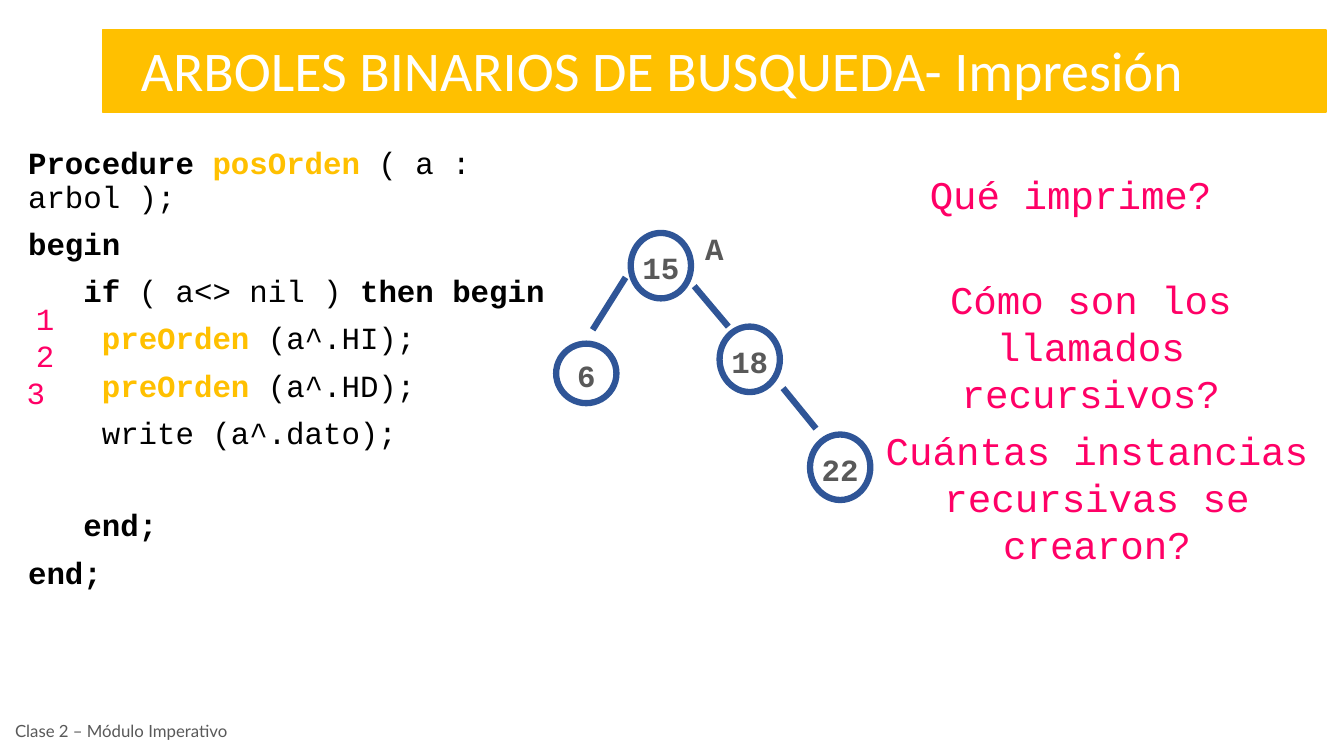
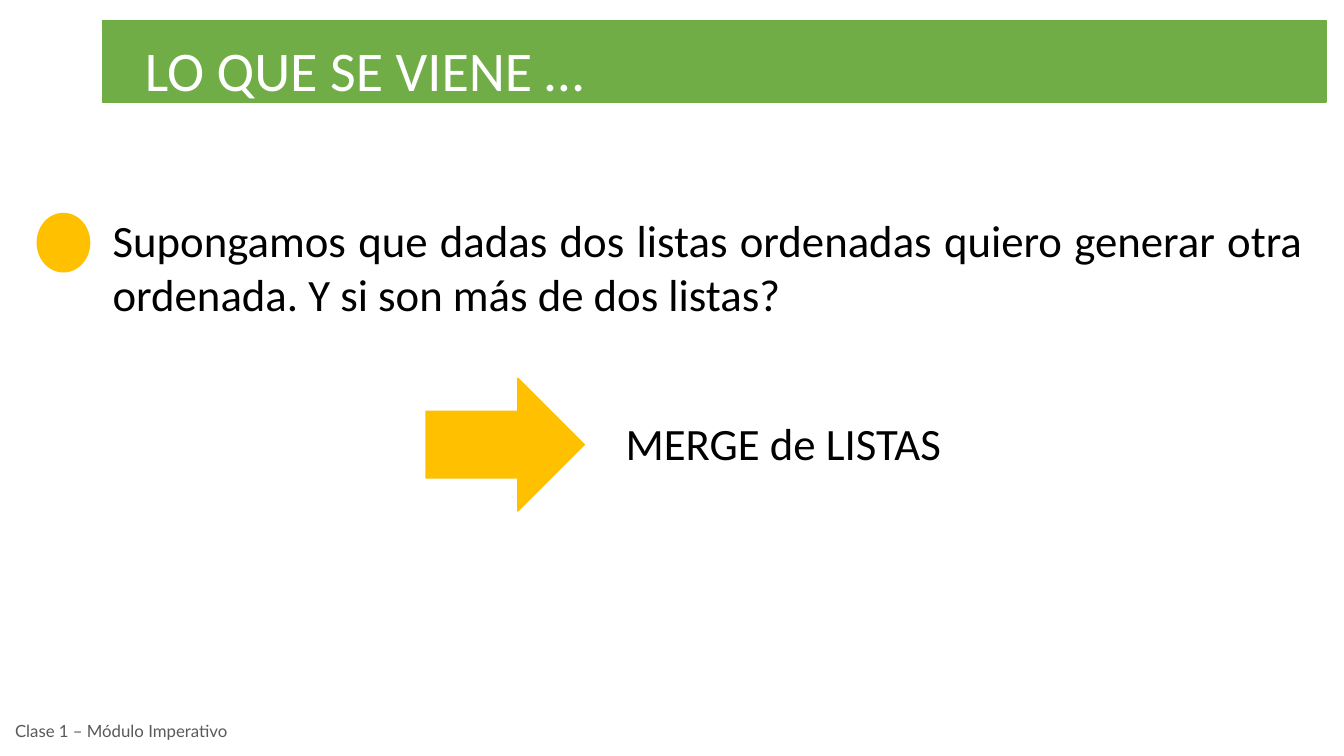
from dataclasses import dataclass

from lxml import etree
from pptx import Presentation
from pptx.dml.color import RGBColor
from pptx.enum.shapes import MSO_CONNECTOR, MSO_SHAPE
from pptx.enum.text import MSO_ANCHOR, PP_ALIGN
from pptx.oxml.ns import qn
from pptx.util import Cm, Pt

LEFT, CENTER, JUSTIFY = PP_ALIGN.LEFT, PP_ALIGN.CENTER, PP_ALIGN.JUSTIFY
TOP, MIDDLE = MSO_ANCHOR.TOP, MSO_ANCHOR.MIDDLE
RECTANGLE, OVAL, ARROW = MSO_SHAPE.RECTANGLE, MSO_SHAPE.OVAL, MSO_SHAPE.RIGHT_ARROW
STRAIGHT = MSO_CONNECTOR.STRAIGHT
BLANK_LAYOUT = 6


@dataclass(frozen=True)
class Theme:
    gold: str = "FFC000"
    green: str = "70AD47"
    blue: str = "2F5597"
    pink: str = "FF0066"
    grey: str = "595959"
    black: str = "000000"
    white: str = "FFFFFF"
    sans: str = "Calibri"
    mono: str = "Courier New"
    small: str = "Lato"
    title_size: int = 40
    body_size: int = 32
    question_size: int = 28
    code_size: int = 22
    footer_size: int = 12
    thin: float = 1
    thick: float = 4.5


THEME = Theme()
PLAIN = {}
KEYWORD = {"bold": True}
NAME = {"bold": True, "color": THEME.gold}


def write(frame, text, *, font=THEME.sans, size=THEME.body_size, color=THEME.black,
          bold=False, align=LEFT, anchor=TOP, wrap=True, spacing=None, gaps=()):
    """Fill a frame; text is a string or a list of paragraphs.

    A paragraph is a string or a list of (text, style) spans; gaps holds the
    space before each paragraph after the first.
    """
    frame.word_wrap = wrap
    frame.vertical_anchor = anchor
    paragraphs = [text] if isinstance(text, str) else text
    for index, spans in enumerate(paragraphs):
        para = frame.add_paragraph() if index else frame.paragraphs[0]
        para.alignment = align
        if spacing:
            para.line_spacing = spacing
        if index and gaps:
            para.space_before = Pt(gaps[index - 1])
        for words, style in [(spans, PLAIN)] if isinstance(spans, str) else spans:
            span = para.add_run()
            span.text = words
            span.font.name = font
            span.font.size = Pt(size)
            span.font.bold = style.get("bold", bold)
            span.font.color.rgb = RGBColor.from_string(style.get("color", color))


class Deck:
    def __init__(self, theme):
        self.theme = theme
        self.file = Presentation()
        self.file.slide_width, self.file.slide_height = Cm(33.88), Cm(19.05)
        self.slide = None

    def new_slide(self, title, footer, color, band_top, title_left, title_width):
        theme = self.theme
        self.slide = self.file.slides.add_slide(self.file.slide_layouts[BLANK_LAYOUT])
        self.text(footer, 0.13, 17.91, 6.1, 1.02, font=theme.small,
                  size=theme.footer_size, color=theme.grey, anchor=MIDDLE)
        self.shape(RECTANGLE, 2.59, band_top, 30.84, 2.06, color)
        self.text(title, title_left, 0.76, title_width, 1.96,
                  size=theme.title_size, color=theme.white, wrap=False)

    def text(self, text, left, top, width, height, **style):
        box = self.slide.shapes.add_textbox(Cm(left), Cm(top), Cm(width), Cm(height))
        write(box.text_frame, text, **style)

    def shape(self, kind, left, top, width, height, color):
        shape = self.slide.shapes.add_shape(kind, Cm(left), Cm(top), Cm(width), Cm(height))
        shape.shadow.inherit = False
        shape.fill.solid()
        shape.fill.fore_color.rgb = RGBColor.from_string(color)
        self.outline(shape, color, self.theme.thin)
        return shape

    def outline(self, item, color, weight):
        item.line.color.rgb = RGBColor.from_string(color)
        item.line.width = Pt(weight)

    def question(self, text, left, top, width, height):
        self.text(text, left, top, width, height, font=self.theme.mono,
                  size=self.theme.question_size, color=self.theme.pink, align=CENTER)

    def code(self, text, left, top, width, height, **style):
        self.text(text, left, top, width, height, font=self.theme.mono,
                  size=self.theme.code_size, **style)

    def node(self, value, left, top, height=1.65):
        """Draw one tree node with its value inside."""
        theme = self.theme
        node = self.shape(OVAL, left, top, 1.52, height, theme.white)
        node.fill.background()
        self.outline(node, theme.blue, theme.thick)
        frame = node.text_frame
        frame.margin_left = frame.margin_right = frame.margin_bottom = 0
        frame.margin_top = Cm(0.1)
        write(frame, value, font=theme.mono, size=theme.code_size, color=theme.grey,
              bold=True, align=CENTER, anchor=MIDDLE, wrap=False)

    def branch(self, start_x, start_y, end_x, end_y):
        line = self.slide.shapes.add_connector(
            STRAIGHT, Cm(start_x), Cm(start_y), Cm(end_x), Cm(end_y))
        self.outline(line, self.theme.blue, self.theme.thick)
        etree.SubElement(line._element.spPr, qn("a:effectLst"))


def build_printing(deck):
    theme = deck.theme
    deck.new_slide("ARBOLES BINARIOS DE BUSQUEDA- Impresión",
                   "Clase 2 – Módulo Imperativo", theme.gold, 0.76, 3.3, 27.15)

    procedure = [
        [("Procedure ", KEYWORD), ("posOrden", NAME), (" ( a : arbol );", PLAIN)],
        [("begin", KEYWORD)],
        [("   ", PLAIN), ("if", KEYWORD), (" ( a<> nil ) ", PLAIN), ("then begin", KEYWORD)],
        [("    ", PLAIN), ("preOrden", NAME), (" (a^.HI);", PLAIN)],
        [("    ", PLAIN), ("preOrden", NAME), (" (a^.HD);", PLAIN)],
        "    write (a^.dato);",
        [("   ", PLAIN), ("end;", KEYWORD)],
        [("end;", KEYWORD)],
    ]
    deck.code(procedure, 0.46, 3.61, 14, 9.6, spacing=0.9,
              gaps=(10, 10, 10, 10, 10, 42.4, 10))
    deck.code(["1", "2", "3 "], 0.3, 7.44, 1.68, 3.05, color=theme.pink, align=CENTER)

    deck.node("15", 15.9, 5.87)
    deck.node("18", 18.14, 8.23)
    deck.node("22", 20.42, 10.95)
    deck.node("6", 14.02, 8.66, height=1.5)
    deck.branch(15.77, 6.99, 14.94, 8.31)
    deck.branch(17.5, 7.21, 18.36, 8.23)
    deck.branch(19.74, 9.78, 20.57, 10.8)
    deck.code("A", 17.27, 5.77, 1.47, 1.27, color=theme.grey, bold=True,
              align=CENTER, spacing=0.9)

    deck.question("Qué imprime?", 21.95, 4.17, 10.08, 1.45)
    deck.question("Cómo son los llamados recursivos?", 21.62, 6.81, 11.76, 3.81)
    deck.question("Cuántas instancias recursivas se crearon?", 21.79, 10.62, 11.73, 3.81)


def build_next_topic(deck):
    theme = deck.theme
    deck.new_slide("LO QUE SE VIENE …", "Clase 1 – Módulo Imperativo",
                   theme.green, 0.51, 3.4, 11.58)
    deck.shape(OVAL, 0.94, 5.38, 1.32, 1.47, theme.gold)
    deck.text("Supongamos que dadas dos listas ordenadas quiero generar otra ordenada. "
              "Y si son más de dos listas?", 2.59, 5.23, 30.53, 2.97, align=JUSTIFY)
    deck.shape(ARROW, 10.74, 9.53, 3.99, 3.35, theme.gold)
    deck.text("MERGE de LISTAS", 15.52, 10.36, 9.02, 1.63, align=JUSTIFY)


def main():
    deck = Deck(THEME)
    build_printing(deck)
    build_next_topic(deck)
    deck.file.save("out.pptx")


if __name__ == "__main__":
    main()
